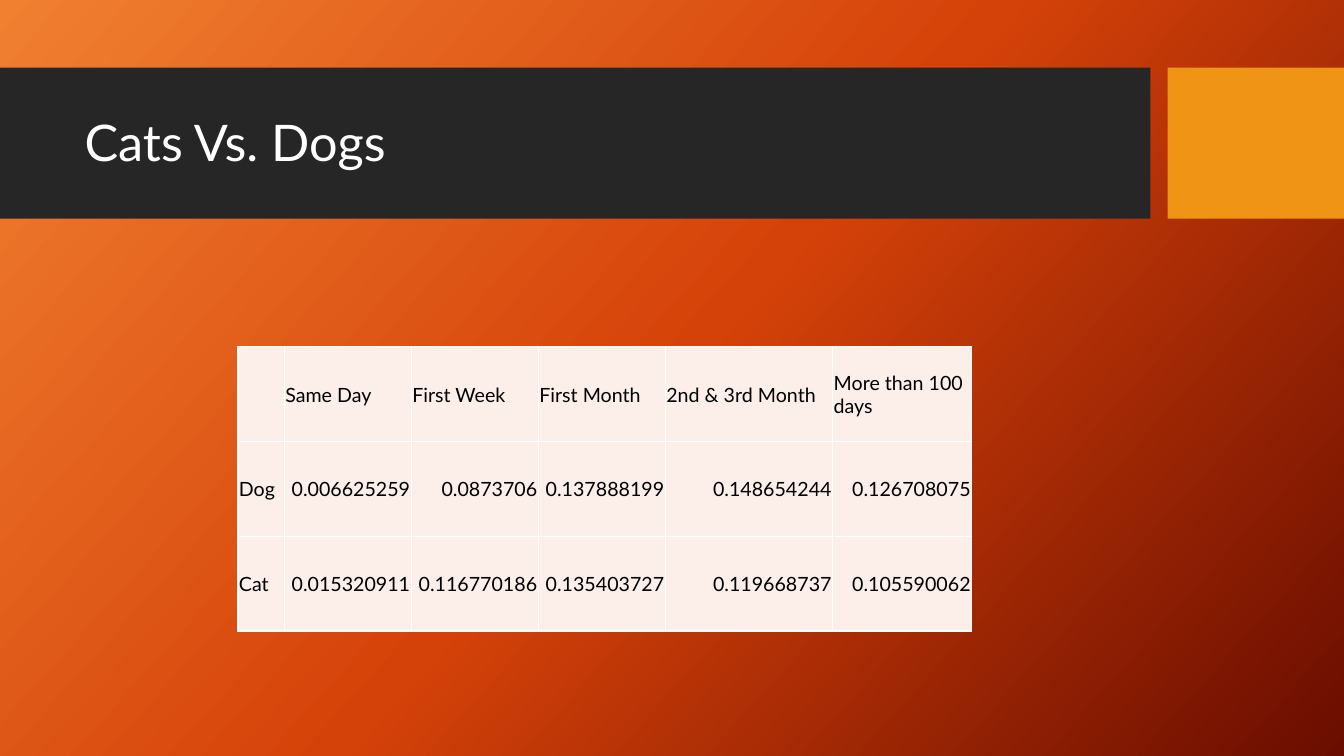
from copy import deepcopy
from dataclasses import dataclass

from lxml.etree import SubElement
from pptx import Presentation
from pptx.dml.color import RGBColor
from pptx.enum.shapes import MSO_SHAPE as Preset
from pptx.enum.text import MSO_ANCHOR as Anchor, PP_ALIGN as Align
from pptx.oxml.ns import qn
from pptx.util import Inches, Pt

FONT = "Lato"
WHITE = RGBColor(0xFF, 0xFF, 0xFF)
BLACK = RGBColor(0x00, 0x00, 0x00)
CHARCOAL = RGBColor(0x26, 0x26, 0x26)
AMBER = RGBColor(0xF0, 0x94, 0x15)
BLUSH = RGBColor(0xFC, 0xEE, 0xE8)
ORANGE = RGBColor(0xF1, 0x80, 0x31)
RUST = RGBColor(0xD5, 0x42, 0x09)
MAROON = RGBColor(0x6A, 0x0D, 0x00)
GRADIENT = ((0, ORANGE), (0.5, RUST), (1, MAROON))


@dataclass
class Band:
    left: float
    width: float
    color: RGBColor


@dataclass
class Column:
    width: float
    heading: str
    dog: str
    cat: str


BANDS = [Band(0, 11.41, CHARCOAL), Band(11.58, 1.75, AMBER)]
COLUMNS = [
    Column(0.46, "", "Dog", "Cat"),
    Column(1.26, "Same Day", "0.006625259", "0.015320911"),
    Column(1.26, "First Week", "0.0873706", "0.116770186"),
    Column(1.26, "First Month", "0.137888199", "0.135403727"),
    Column(1.66, "2nd & 3rd Month", "0.148654244", "0.119668737"),
    Column(1.38, "More than 100 days", "0.126708075", "0.105590062"),
]
ROW_HEIGHT = 0.94


def paint_background(page) -> None:
    fill = page.background.fill
    fill.gradient()
    fill.gradient_angle = 318
    first = next(page.element.iter(qn("a:gs")))
    first.addnext(deepcopy(first))
    for stop, (position, color) in zip(fill.gradient_stops, GRADIENT):
        stop.position = position
        stop.color.rgb = color


def add_band(page, band: Band) -> None:
    shape = page.shapes.add_shape(
        Preset.RECTANGLE, Inches(band.left), Inches(0.67), Inches(band.width), Inches(1.5))
    shape.shadow.inherit = False
    shape.fill.solid()
    shape.fill.fore_color.rgb = band.color
    shape.line.fill.background()


def add_span(para, text: str, size: float, color: RGBColor) -> None:
    span = para.add_run()
    span.text = text
    span.font.name = FONT
    span.font.size = Pt(size)
    span.font.color.rgb = color


def add_title(page, text: str) -> None:
    box = page.shapes.add_textbox(Inches(0.74), Inches(0.85), Inches(10.51), Inches(1.18))
    frame = box.text_frame
    frame.word_wrap = True
    frame.vertical_anchor = Anchor.MIDDLE
    para = frame.paragraphs[0]
    para.line_spacing = 0.9
    add_span(para, text, 36, WHITE)


def add_borders(cell) -> None:
    properties = cell._tc.get_or_add_tcPr()
    for side in ("lnL", "lnR", "lnT", "lnB"):
        line = SubElement(properties, qn(f"a:{side}"), w=str(Pt(1)))
        fill = SubElement(line, qn("a:solidFill"))
        SubElement(fill, qn("a:srgbClr"), val=str(WHITE))


def fill_cell(cell, text: str, align: Align) -> None:
    add_borders(cell)
    cell.fill.solid()
    cell.fill.fore_color.rgb = BLUSH
    cell.vertical_anchor = Anchor.MIDDLE
    cell.margin_left = cell.margin_right = cell.margin_top = Inches(0.01)
    cell.margin_bottom = 0
    if text:
        para = cell.text_frame.paragraphs[0]
        para.alignment = align
        add_span(para, text, 14, BLACK)


def add_adoption_table(page) -> None:
    width = sum(column.width for column in COLUMNS)
    table = page.shapes.add_table(
        3, len(COLUMNS), Inches(2.36), Inches(3.44), Inches(width), Inches(3 * ROW_HEIGHT)).table
    for row in table.rows:
        row.height = Inches(ROW_HEIGHT)
    for index, column in enumerate(COLUMNS):
        table.columns[index].width = Inches(column.width)
        for level, text in enumerate((column.heading, column.dog, column.cat)):
            align = Align.RIGHT if level and index else Align.LEFT
            fill_cell(table.cell(level, index), text, align)


def main() -> None:
    deck = Presentation()
    deck.slide_width = Inches(13.33)
    deck.slide_height = Inches(7.5)
    page = deck.slides.add_slide(deck.slide_layouts[6])
    paint_background(page)
    for band in BANDS:
        add_band(page, band)
    add_title(page, "Cats Vs. Dogs")
    add_adoption_table(page)
    deck.save("out.pptx")


if __name__ == "__main__":
    main()
